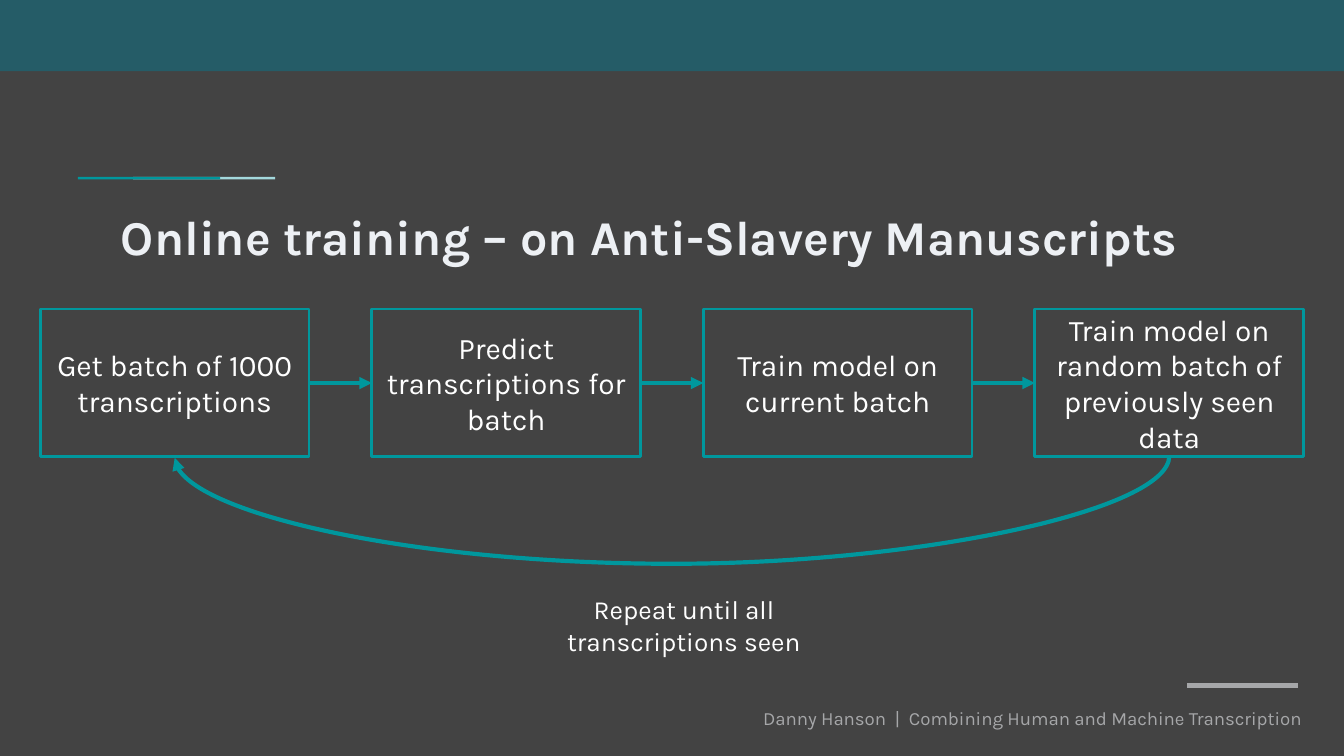
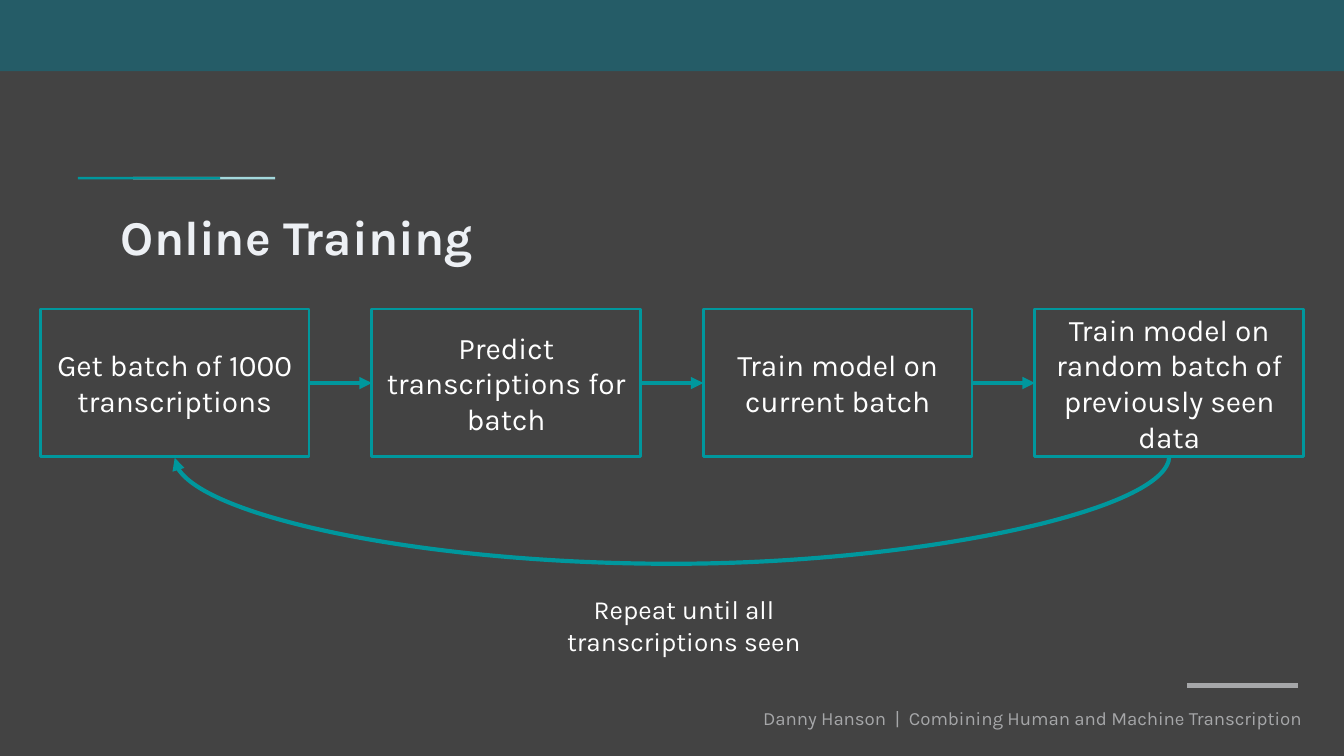
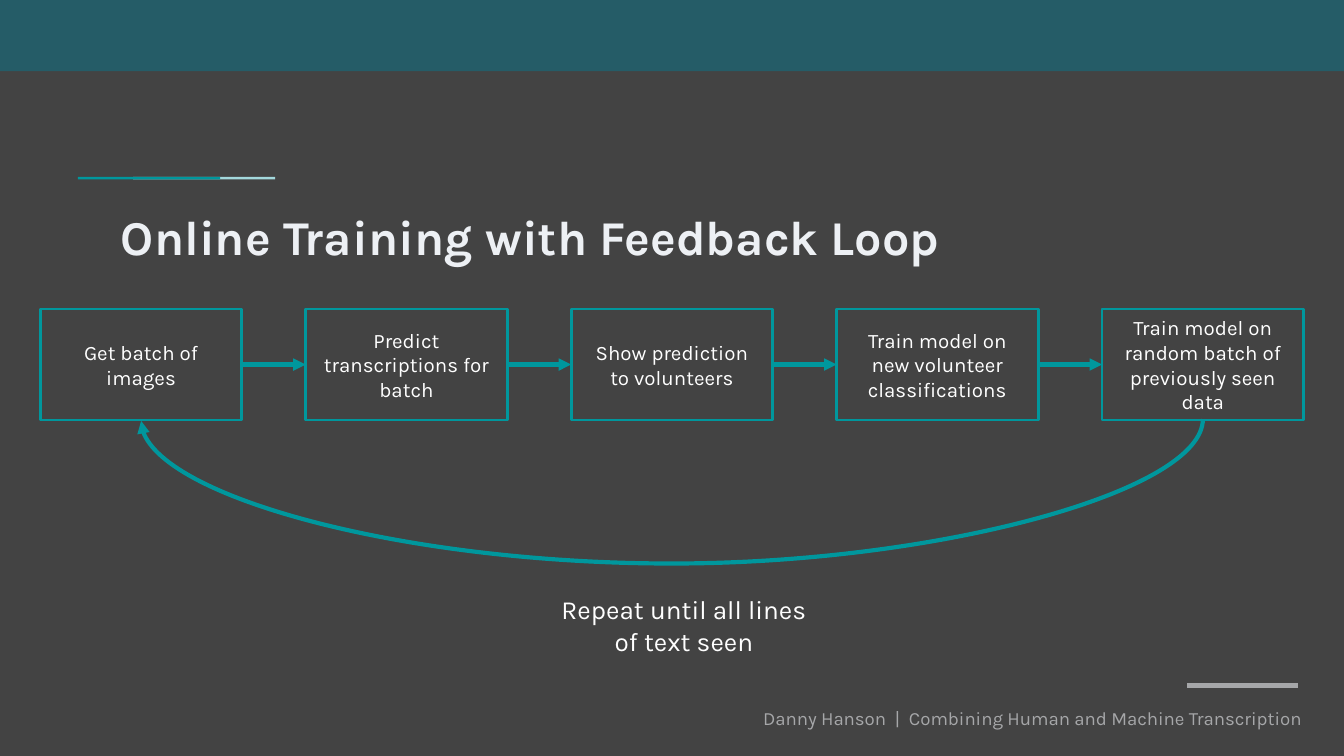
import pptx
import pptx.dml.color
import pptx.enum.shapes
import pptx.enum.text
import pptx.oxml
import pptx.oxml.ns
import pptx.util
import lxml.etree

Pt = pptx.util.Pt
Align = pptx.enum.text.PP_ALIGN
Anchor = pptx.enum.text.MSO_ANCHOR
AutoSize = pptx.enum.text.MSO_AUTO_SIZE
Connector = pptx.enum.shapes.MSO_CONNECTOR
RECTANGLE = pptx.enum.shapes.MSO_SHAPE.RECTANGLE

FONT = "Karla"
BACKGROUND, BAND, TEAL, MINT = "434343", "255C67", "00979D", "A3D8DC"
GREY, PALE, WHITE = "A6A7A9", "EDF0F4", "FFFFFF"

FOOTER = "Danny Hanson  |  Combining Human and Machine Transcription"
BATCH_LOOP = {
    "steps": [
        "Get batch of 1000 transcriptions",
        "Predict transcriptions for batch",
        "Train model on current batch",
        "Train model on random batch of previously seen data",
    ],
    "step_width": 144,
    "step_size": 16,
    "repeat": "Repeat until all transcriptions seen",
}
FEEDBACK_LOOP = {
    "steps": [
        "Get batch of images",
        "Predict transcriptions for batch",
        "Show prediction to volunteers",
        "Train model on new volunteer classifications",
        "Train model on random batch of previously seen data",
    ],
    "step_width": 108,
    "step_size": 11,
    "repeat": "Repeat until all lines of text seen",
}
SLIDES = [
    ("Online training – on Anti-Slavery Manuscripts", BATCH_LOOP),
    ("Online Training", BATCH_LOOP),
    ("Online Training with Feedback Loop", FEEDBACK_LOOP),
]

SLIDE_WIDTH, SLIDE_HEIGHT = 720, 405
ROW_LEFT, ROW_TOP = 21.6, 165.6
ROW_WIDTH = SLIDE_WIDTH - 2 * ROW_LEFT
STEP_RATIO = 0.55
CURVE_BOTTOM = 303


def color(value):
    return pptx.dml.color.RGBColor.from_string(value)


def write(shape, text, size, fill, align=Align.LEFT, anchor=Anchor.TOP,
          bold=False, margin=3.6, auto_size=AutoSize.NONE):
    frame = shape.text_frame
    frame.text = text
    frame.word_wrap = True
    frame.auto_size = auto_size
    frame.vertical_anchor = anchor
    frame.margin_left = frame.margin_right = Pt(7.2)
    frame.margin_top = frame.margin_bottom = Pt(margin)
    paragraph = frame.paragraphs[0]
    paragraph.alignment = align
    font = paragraph.runs[0].font
    font.name, font.size, font.bold = FONT, Pt(size), bold
    font.color.rgb = color(fill)


def add_text(slide, box, text, **style):
    shape = slide.shapes.add_textbox(*map(Pt, box))
    write(shape, text, **style)


def add_rectangle(slide, box, fill=None, line=None):
    shape = slide.shapes.add_shape(RECTANGLE, *map(Pt, box))
    shape.shadow.inherit = False
    if fill:
        shape.fill.solid()
        shape.fill.fore_color.rgb = color(fill)
    else:
        shape.fill.background()
    if line:
        shape.line.color.rgb = color(line)
        shape.line.width = Pt(1.5)
    else:
        shape.line.fill.background()
    return shape


def add_line(slide, points, fill, width, kind=Connector.STRAIGHT, arrow=False):
    connector = slide.shapes.add_connector(kind, *map(Pt, points))
    connector.line.color.rgb = color(fill)
    connector.line.width = Pt(width)
    if arrow:
        tail = lxml.etree.SubElement(connector.line._get_or_add_ln(), pptx.oxml.ns.qn("a:tailEnd"))
        tail.set("type", "triangle")
    lxml.etree.SubElement(connector.element.spPr, pptx.oxml.ns.qn("a:effectLst"))
    return connector


def add_return_curve(slide, start, end, bottom):
    drop = 1
    middle, half = (start + end) / 2, (start - end) / 2
    points = (middle - drop / 2, bottom - half, middle + drop / 2, bottom + half)
    curve = add_line(slide, points, TEAL, 2.25, kind=Connector.CURVE, arrow=True)
    curve.rotation = 90
    depth = round((CURVE_BOTTOM - bottom) / drop * 100000)
    guides = curve.element.spPr.find(pptx.oxml.ns.qn("a:prstGeom")).get_or_add_avLst()
    guide = lxml.etree.SubElement(guides, pptx.oxml.ns.qn("a:gd"))
    guide.set("name", "adj1")
    guide.set("fmla", f"val {depth}")


def add_loop(slide, steps, step_width, step_size, repeat):
    pitch = (ROW_WIDTH - step_width) / (len(steps) - 1)
    height = step_width * STEP_RATIO
    middle, bottom = ROW_TOP + height / 2, ROW_TOP + height
    lefts = [ROW_LEFT + index * pitch for index in range(len(steps))]
    boxes = []
    for left, step in zip(lefts, steps):
        box = add_rectangle(slide, (left, ROW_TOP, step_width, height), line=TEAL)
        write(box, step, size=step_size, fill=WHITE, align=Align.CENTER, anchor=Anchor.MIDDLE)
        boxes.append(box)
    for index in range(len(steps) - 1):
        points = (lefts[index] + step_width, middle, lefts[index + 1], middle)
        arrow = add_line(slide, points, TEAL, 2.25, arrow=True)
        arrow.begin_connect(boxes[index], 3)
        arrow.end_connect(boxes[index + 1], 1)
    add_return_curve(slide, lefts[-1] + step_width / 2, lefts[0] + step_width / 2, bottom)
    add_text(slide, (292.3, 314.6, 148.3, 41), repeat, size=14, fill=WHITE,
             align=Align.CENTER, auto_size=AutoSize.SHAPE_TO_FIT_TEXT)


def add_frame(slide):
    add_rectangle(slide, (0, 0, SLIDE_WIDTH, 38.2), fill=BAND)
    for left, fill in ((71.3, MINT), (41.8, TEAL)):
        add_rectangle(slide, (left, 94.7, 76.2, 1.4), fill=fill)
    add_text(slide, (301, 371.5, 403.2, 28.8), FOOTER, size=10, fill=GREY,
             align=Align.RIGHT, margin=7.2)
    add_line(slide, (695.5, 367.2, 636, 367.2), GREY, 3)


def add_title(slide, text):
    title = slide.shapes.title
    title.left, title.top, title.width, title.height = map(Pt, (57.6, 103.7, 605.5, 42.5))
    write(title, text, size=26, fill=PALE, bold=True, margin=7.2)


def main():
    presentation = pptx.Presentation()
    presentation.slide_width, presentation.slide_height = Pt(SLIDE_WIDTH), Pt(SLIDE_HEIGHT)
    background = presentation.slide_master.background.fill
    background.solid()
    background.fore_color.rgb = color(BACKGROUND)
    layout = presentation.slide_layouts.get_by_name("Title Only")
    for title, loop in SLIDES:
        slide = presentation.slides.add_slide(layout)
        add_frame(slide)
        add_title(slide, title)
        add_loop(slide, **loop)
    presentation.save("out.pptx")


if __name__ == "__main__":
    main()
